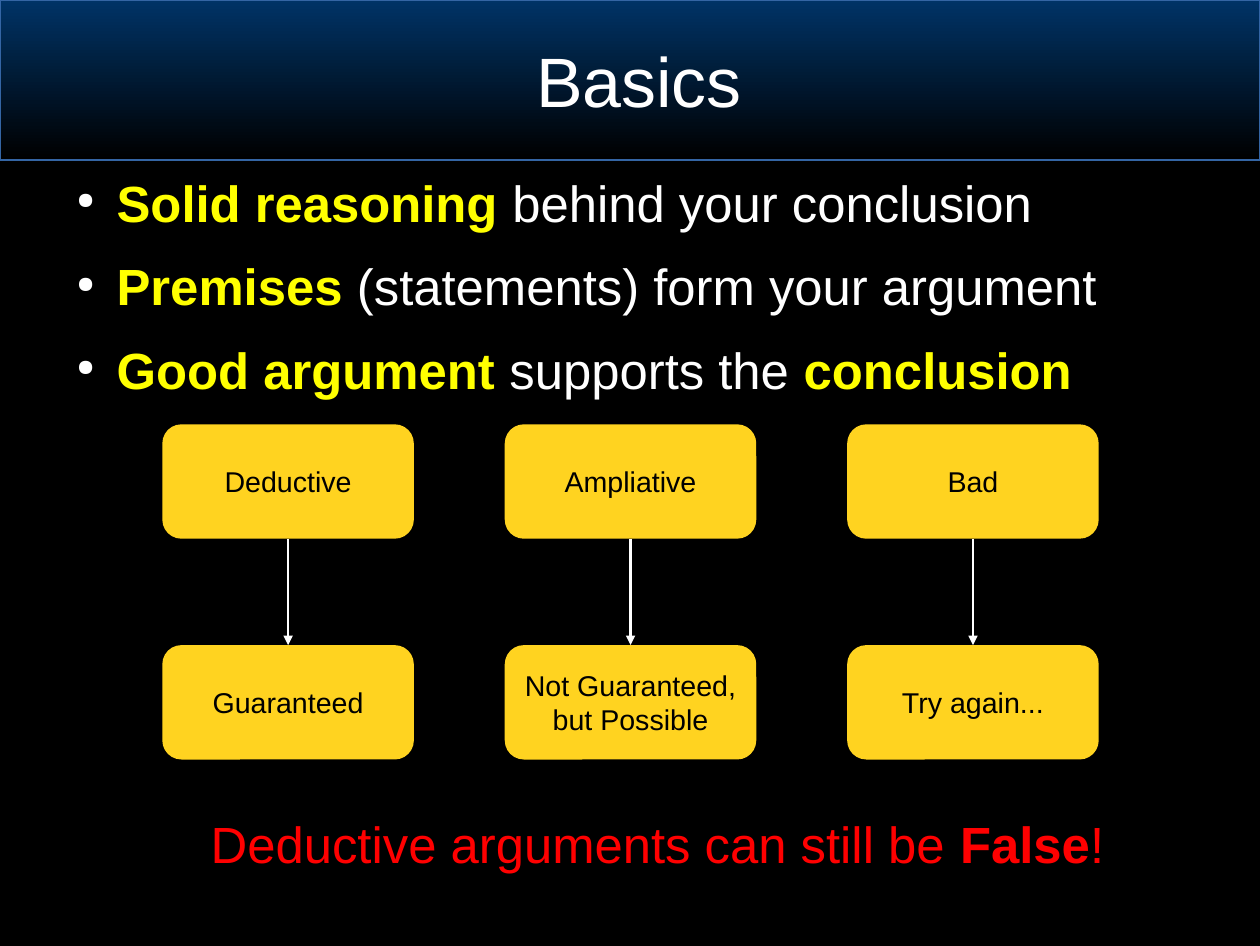
import pptx
import pptx.dml.color
import pptx.enum.shapes
import pptx.enum.text
import pptx.oxml
import pptx.oxml.ns
import pptx.util
from dataclasses import dataclass

Inches = pptx.util.Inches
Pt = pptx.util.Pt
ALIGN = pptx.enum.text.PP_ALIGN
ANCHOR = pptx.enum.text.MSO_ANCHOR
SHAPE = pptx.enum.shapes.MSO_SHAPE


@dataclass(frozen=True)
class Theme:
    font: str = "Arial"
    background: str = "000000"
    banner: str = "003366"
    banner_line: str = "3465A4"
    text: str = "FFFFFF"
    highlight: str = "FFFF00"
    box: str = "FFD320"
    box_text: str = "000000"
    warning: str = "FF0000"
    title_size: float = 44
    body_size: float = 32
    box_size: float = 18
    space_after: float = 14.2
    arrow_width: float = 1.45


def color(value):
    return pptx.dml.color.RGBColor.from_string(value)


def append_xml(parent, tag, **attributes):
    element = pptx.oxml.parse_xml(f"<a:{tag} {pptx.oxml.ns.nsdecls('a')}/>")
    for name, value in attributes.items():
        element.set(name, value)
    parent.append(element)
    return element


class SlideBuilder:
    def __init__(self, slide, theme):
        self.slide = slide
        self.theme = theme
        slide.background.fill.solid()
        slide.background.fill.fore_color.rgb = color(theme.background)

    def style(self, font, size, value, bold=False):
        font.name = self.theme.font
        font.size = Pt(size)
        font.bold = bold
        font.color.rgb = color(value)

    def clear_margins(self, frame):
        frame.margin_left = frame.margin_right = 0
        frame.margin_top = frame.margin_bottom = 0
        frame.word_wrap = True

    def title(self, text, left, top, width, height):
        title = self.slide.shapes.title
        title.left, title.top = Inches(left), Inches(top)
        title.width, title.height = Inches(width), Inches(height)
        frame = title.text_frame
        frame.text = text
        self.clear_margins(frame)
        frame.vertical_anchor = ANCHOR.MIDDLE
        paragraph = frame.paragraphs[0]
        paragraph.alignment = ALIGN.CENTER
        self.style(paragraph.runs[0].font, self.theme.title_size, self.theme.text)

    def banner(self, width, height):
        banner = self.slide.shapes.add_shape(
            SHAPE.RECTANGLE, 0, 0, Inches(width), Inches(height))
        banner.shadow.inherit = False
        banner.fill.gradient()
        banner.fill.gradient_angle = 270
        ends = (self.theme.banner, self.theme.background)
        for stop, value in zip(banner.fill.gradient_stops, ends):
            stop.color.rgb = color(value)
        banner.line.color.rgb = color(self.theme.banner_line)
        banner.line.width = 0
        self.slide.shapes.title.element.addprevious(banner.element)

    def text(self, paragraphs, left, top, width, height, plain, strong,
             bullets=False, alignment=ALIGN.LEFT):
        box = self.slide.shapes.add_textbox(
            Inches(left), Inches(top), Inches(width), Inches(height))
        frame = box.text_frame
        self.clear_margins(frame)
        for index, runs in enumerate(paragraphs):
            paragraph = frame.add_paragraph() if index else frame.paragraphs[0]
            paragraph.alignment = alignment
            paragraph.space_after = Pt(self.theme.space_after)
            properties = paragraph._p.get_or_add_pPr()
            properties.set("marL", str(Inches(0.47)))
            properties.set("indent", str(Inches(-0.35 if bullets else 0)))
            if bullets:
                bullet_color = append_xml(properties, "buClr")
                append_xml(bullet_color, "srgbClr", val=self.theme.text)
                append_xml(properties, "buSzPct", val="45000")
                append_xml(properties, "buChar", char="●")
            for text, bold in runs:
                run = paragraph.add_run()
                run.text = text
                self.style(run.font, self.theme.body_size,
                           strong if bold else plain, bold)

    def box(self, text, left, top, width, height):
        box = self.slide.shapes.add_shape(
            SHAPE.ROUNDED_RECTANGLE, Inches(left), Inches(top),
            Inches(width), Inches(height))
        box.shadow.inherit = False
        box.fill.solid()
        box.fill.fore_color.rgb = color(self.theme.box)
        box.line.fill.background()
        frame = box.text_frame
        frame.text = text
        frame.word_wrap = False
        frame.vertical_anchor = ANCHOR.MIDDLE
        for paragraph in frame.paragraphs:
            paragraph.alignment = ALIGN.CENTER
            self.style(paragraph.runs[0].font, self.theme.box_size,
                       self.theme.box_text)
        return box

    def arrow(self, upper, lower):
        arrow = self.slide.shapes.add_connector(
            pptx.enum.shapes.MSO_CONNECTOR.STRAIGHT, 0, 0, 0, 0)
        arrow.begin_connect(upper, 2)
        arrow.end_connect(lower, 0)
        arrow.line.color.rgb = color(self.theme.text)
        arrow.line.width = Pt(self.theme.arrow_width)
        append_xml(arrow.line._get_or_add_ln(), "tailEnd", type="triangle")
        append_xml(arrow._element.spPr, "effectLst")


def main():
    theme = Theme()
    presentation = pptx.Presentation()
    presentation.slide_width = Inches(11.02)
    presentation.slide_height = Inches(8.27)
    slide = presentation.slides.add_slide(presentation.slide_layouts[5])
    builder = SlideBuilder(slide, theme)

    builder.banner(11.02, 1.4)
    builder.title("Basics", 0.63, 0.01, 9.92, 1.38)
    builder.text([
        [("Solid reasoning", True), (" behind your conclusion", False)],
        [("Premises", True), (" (statements) form your argument", False)],
        [("Good argument", True), (" supports the ", False), ("conclusion", True)],
    ], 0.55, 1.5, 9.92, 2.16, theme.text, theme.highlight, bullets=True)

    outcomes = [
        ("Deductive", "Guaranteed"),
        ("Ampliative", "Not Guaranteed,\nbut Possible"),
        ("Bad", "Try again..."),
    ]
    for column, (argument, outcome) in enumerate(outcomes):
        left = 1.42 + column * 2.995
        upper = builder.box(argument, left, 3.71, 2.2, 1)
        lower = builder.box(outcome, left, 5.64, 2.2, 1)
        builder.arrow(upper, lower)

    builder.text(
        [[("Deductive arguments can still be ", False), ("False", True), ("!", False)]],
        1.14, 7.1, 8.75, 0.82, theme.warning, theme.warning,
        alignment=ALIGN.CENTER)
    presentation.save("out.pptx")


if __name__ == "__main__":
    main()
